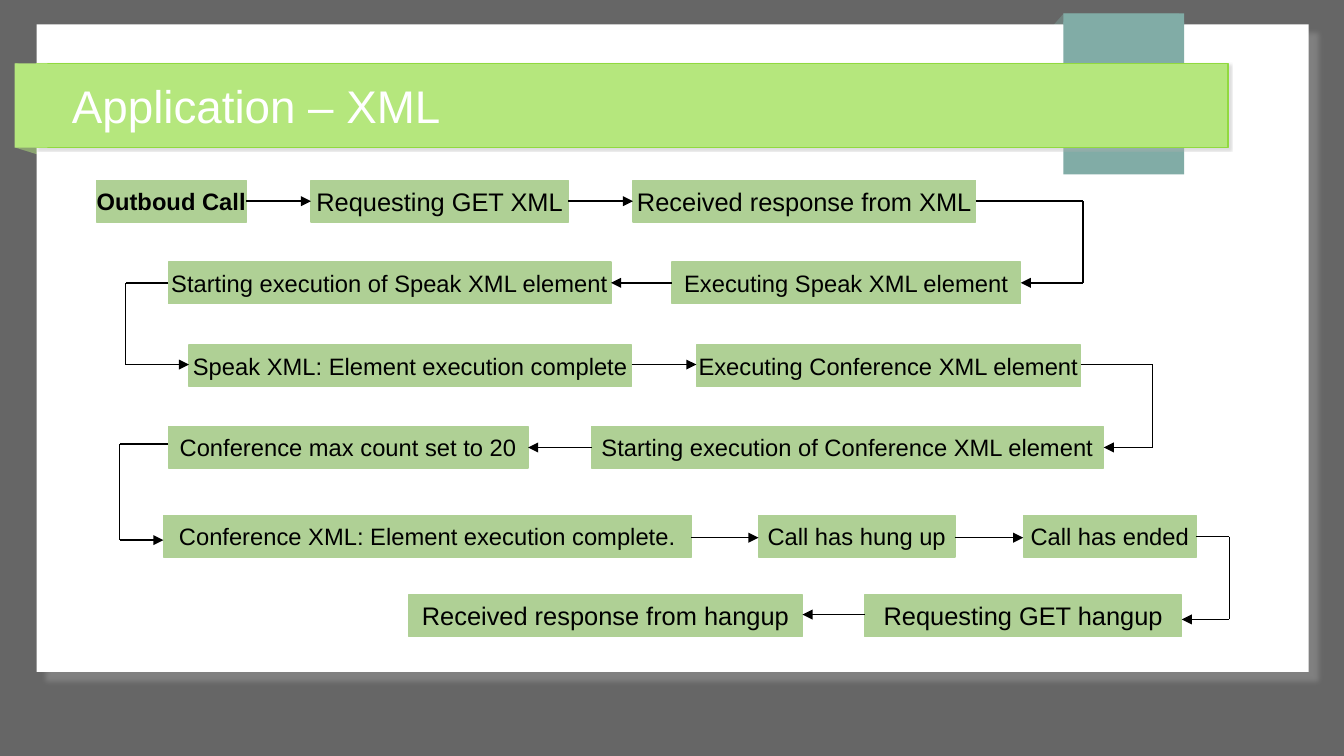
from itertools import pairwise

from lxml import etree
from pptx import Presentation
from pptx import util as u
from pptx.dml.color import RGBColor
from pptx.enum import shapes, text
from pptx.oxml import ns

GREY = RGBColor(0x66, 0x66, 0x66)
WHITE = RGBColor(0xFF, 0xFF, 0xFF)
BLACK = RGBColor(0, 0, 0)
LIME = RGBColor(0xB5, 0xE7, 0x7D)
LIME_EDGE = RGBColor(0x91, 0xD9, 0x3F)
TEAL = RGBColor(0x81, 0xAC, 0xA6)
SAGE = RGBColor(0xAF, 0xD0, 0x95)
PANEL_SHADOW = RGBColor(0x80, 0x80, 0x80)
BAR_SHADOW = RGBColor(0xB2, 0xB2, 0xB2)

COLUMNS, ROWS = 110.2, 62  # square grid cells across and down the slide
BOX_HEIGHT = 3.4
PRESET = shapes.MSO_SHAPE


def add_child(parent, tag, **attrs):
    return etree.SubElement(parent, ns.qn(tag), {k: str(v) for k, v in attrs.items()})


class Deck:
    font = "Arial"
    line_width = u.Pt(0.85)

    def __init__(self):
        self.prs = Presentation()
        self.prs.slide_width, self.prs.slide_height = u.Inches(11.02), u.Inches(6.2)
        self.s = self.prs.slides.add_slide(self.prs.slide_layouts[6])
        fill = self.s.background.fill
        fill.solid()
        fill.fore_color.rgb = GREY

    def x(self, columns):
        return round(self.prs.slide_width * columns / COLUMNS)

    def y(self, rows):
        return round(self.prs.slide_height * rows / ROWS)

    def frame(self, left, top, width, height):
        return self.x(left), self.y(top), self.x(width), self.y(height)

    def shape(self, preset, frame, color, edge=None, opacity=None):
        sp = self.s.shapes.add_shape(preset, *self.frame(*frame))
        sp.shadow.inherit = False
        sp.fill.solid()
        sp.fill.fore_color.rgb = color
        if edge is None:
            sp.line.fill.background()
        else:
            sp.line.color.rgb = edge
            sp.line.width = self.line_width
        if opacity is not None:
            clr = sp._element.spPr.find(ns.qn("a:solidFill"))[0]
            add_child(clr, "a:alpha", val=opacity * 1000)
        return sp

    def shadow(self, sp, color, opacity, blur, distance):
        effects = sp._element.spPr.find(ns.qn("a:effectLst"))
        outer = add_child(effects, "a:outerShdw", blurRad=u.Pt(blur), dist=u.Pt(distance),
                          dir=45 * 60000, algn="tl", rotWithShape=0)
        clr = add_child(outer, "a:srgbClr", val=color)
        add_child(clr, "a:alpha", val=opacity * 1000)

    def label(self, tf, words, size, color, align, bold=False):
        tf.vertical_anchor = text.MSO_ANCHOR.MIDDLE
        p = tf.paragraphs[0]
        p.text = words
        p.alignment = align
        p.font.name, p.font.size, p.font.bold = self.font, u.Pt(size), bold
        p.font.color.rgb = color

    def title(self, frame, words):
        tf = self.s.shapes.add_textbox(*self.frame(*frame)).text_frame
        tf.word_wrap = True
        tf.margin_left = tf.margin_top = tf.margin_right = tf.margin_bottom = 0
        self.label(tf, words, 27, WHITE, text.PP_ALIGN.LEFT)

    def step(self, words, left, top, width, size, bold):
        sp = self.shape(PRESET.FLOWCHART_PROCESS, (left, top, width, BOX_HEIGHT), SAGE, SAGE)
        sp.text_frame.word_wrap = False
        self.label(sp.text_frame, words, size, BLACK, text.PP_ALIGN.CENTER, bold)

    def line(self, start, end, arrow=False):
        cx = self.s.shapes.add_connector(
            shapes.MSO_CONNECTOR.STRAIGHT,
            self.x(start[0]), self.y(start[1]), self.x(end[0]), self.y(end[1]))
        cx.line.color.rgb = BLACK
        cx.line.width = self.line_width
        if arrow:
            add_child(cx._element.spPr.find(ns.qn("a:ln")), "a:tailEnd", type="triangle")
        add_child(cx._element.spPr, "a:effectLst")

    def turn(self, start_x, end_x, turn_x, start_y, end_y):
        self.line((start_x, start_y), (turn_x, start_y))
        self.line((turn_x, start_y), (turn_x, end_y))
        self.line((turn_x, end_y), (end_x, end_y), arrow=True)


# Each row: top, arrow height, text size, steps in flow order (words, left, width)
FLOW = [
    (14.8, 16.5, 15, [("Outboud Call", 7.9, 12.3), ("Requesting GET XML", 25.5, 21.1),
                      ("Received response from XML", 51.9, 28.1)]),
    (21.5, 23.2, 14, [("Executing Speak XML element", 55.1, 28.6),
                      ("Starting execution of Speak XML element", 13.8, 36.3)]),
    (28.3, 29.9, 14, [("Speak XML: Element execution complete", 15.5, 36.3),
                      ("Executing Conference XML element", 57.1, 31.5)]),
    (35, 36.7, 14, [("Starting execution of Conference XML element", 48.5, 42),
                    ("Conference max count set to 20", 13.8, 29.5)]),
    (42.3, 44.1, 14, [("Conference XML: Element execution complete.", 13.4, 43.3),
                      ("Call has hung up", 62.2, 16.1), ("Call has ended", 83.9, 14.2)]),
    (48.8, 50.4, 15, [("Requesting GET hangup", 70.9, 26),
                      ("Received response from hangup", 33.5, 32.3)]),
]
# Turns between rows: column of the turn, start height, end height
TURNS = [(88.8, 16.5, 23.2), (10.3, 23.2, 29.9), (94.5, 29.9, 36.7),
         (9.8, 36.4, 44.3), (100.8, 44, 50.8)]


def draw_backdrop(deck):
    # Folded ribbon ends behind the white panel
    fold = deck.shape(PRESET.PARALLELOGRAM, (0.5, 5.9, 9.4, 7.9), LIME, opacity=49)
    fold.rotation = 270
    fold.adjustments[0] = 0.31
    fold = deck.shape(PRESET.PARALLELOGRAM, (83.6, 1.1, 13.1, 4.1), TEAL, opacity=39)
    fold.adjustments[0] = 0.885

    # Panel, ribbon and title bar
    panel = deck.shape(PRESET.RECTANGLE, (3, 2, 104.3, 53.1), WHITE)
    deck.shadow(panel, PANEL_SHADOW, 100, 3, 8)
    deck.shape(PRESET.RECTANGLE, (87.2, 1.8, 9.9, 12.5), TEAL)
    bar = deck.shape(PRESET.RECTANGLE, (3, 5.2, 97.7, 6.9), LIME, LIME_EDGE)
    deck.shadow(bar, BAR_SHADOW, 43, 1, 1.4)
    deck.shape(PRESET.RECTANGLE, (1.2, 5.2, 2.7, 6.9), LIME)
    deck.shape(PRESET.RECTANGLE, (87.2, 1.1, 9.9, 0.9), TEAL)
    deck.title((5.9, 5.2, 94.5, 6.9), "Application – XML")


def draw_flow(deck):
    # Steps and the arrows along each row; every second row runs right to left
    ends = []
    for i, (top, arrow_y, size, steps) in enumerate(FLOW):
        leftward = i % 2 == 1
        sides = []
        for j, (words, left, width) in enumerate(steps):
            first = i == j == 0
            deck.step(words, left, top, width, 14 if first else size, first)
            edges = (left, left + width)
            sides.append(edges[::-1] if leftward else edges)
        for (_, leave), (enter, _) in pairwise(sides):
            deck.line((leave, arrow_y), (enter, arrow_y), arrow=True)
        ends.append((sides[0][0], sides[-1][1]))

    # Turns from the end of one row to the start of the next
    for ((_, leave), (enter, _)), turn in zip(pairwise(ends), TURNS):
        deck.turn(leave, enter, *turn)


def main():
    deck = Deck()
    draw_backdrop(deck)
    draw_flow(deck)
    deck.prs.save("out.pptx")


if __name__ == "__main__":
    main()
